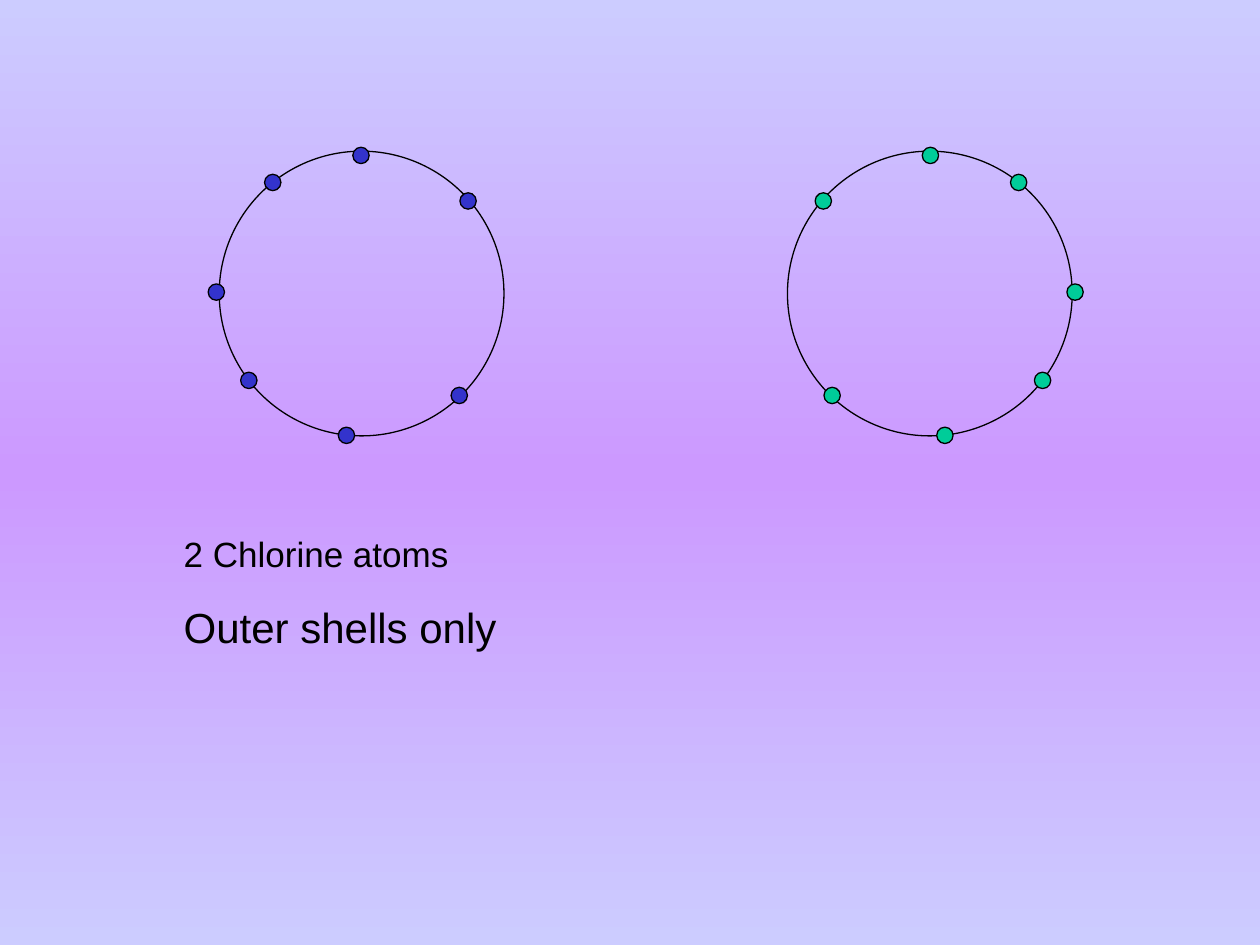
from copy import deepcopy

from pptx import Presentation
from pptx.dml.color import RGBColor
from pptx.enum.shapes import MSO_SHAPE
from pptx.oxml.ns import qn
from pptx.util import Inches, Pt

WIDE, HIGH = 10, 7.5
RING, DOT = 2.26, 0.13
SPOTS = [(50.2, 1.5), (81.2, 11), (101, 49.5), (89.6, 80.5),
         (55.3, 99.8), (15.7, 85.8), (12.6, 17.5)]


def color(code):
    """Turn a hex string into a colour."""
    return RGBColor.from_string(code)


def paint(slide, codes):
    """Fill the background with evenly spaced colours from top to bottom."""
    fill = slide.background.fill
    fill.gradient()
    fill.gradient_angle = 270
    stops = next(slide.element.iter(qn("a:gsLst")))
    while len(stops) < len(codes):
        stops.append(deepcopy(stops[-1]))
    for i, (stop, code) in enumerate(zip(fill.gradient_stops, codes)):
        stop.position = i / (len(codes) - 1)
        stop.color.rgb = color(code)


def disc(shapes, x, y, size, code=None):
    """Draw a black-edged circle around a centre point."""
    box = (Inches(v) for v in (x - size / 2, y - size / 2, size, size))
    shape = shapes.add_shape(MSO_SHAPE.OVAL, *box)
    shape.shadow.inherit = False
    shape.line.color.rgb = color("000000")
    shape.line.width = Pt(0.75)
    if code:
        shape.fill.solid()
        shape.fill.fore_color.rgb = color(code)
    else:
        shape.fill.background()


def atom(shapes, left, top, size, code, flip=False):
    """Draw an outer shell with its electrons, mirrored if asked."""
    disc(shapes, left + size / 2, top + size / 2, size)
    for x, y in SPOTS:
        across = 100 - x if flip else x
        disc(shapes, left + size * across / 100, top + size * y / 100, DOT, code)


def label(slide, left, top, wide, high, lines):
    """Write the caption lines, each with its size and space before."""
    box = slide.shapes.add_textbox(*(Inches(v) for v in (left, top, wide, high)))
    frame = box.text_frame
    frame.word_wrap = True
    for i, (text, size, gap) in enumerate(lines):
        para = frame.add_paragraph() if i else frame.paragraphs[0]
        para.text = text
        para.space_before = Pt(gap)
        style = {"name": "Arial", "size": Pt(size)}
        for key, value in style.items():
            setattr(para.font, key, value)
        para.font.color.rgb = color("000000")


def main():
    """Build and save the slide."""
    deck = Presentation()
    deck.slide_width, deck.slide_height = Inches(WIDE), Inches(HIGH)
    slide = deck.slides.add_slide(deck.slide_layouts[6])
    paint(slide, ["CCCCFF", "CC99FF", "CCCCFF"])
    group = slide.shapes.add_group_shape()
    top = HIGH * 0.16
    atom(group.shapes, WIDE * 0.625, top, RING, "00CC99")
    atom(slide.shapes, WIDE * 0.174, top, RING, "3333CC", flip=True)
    label(slide, 1.36, 4.18, WIDE * 0.65, 1.04,
          [("2 Chlorine atoms", 20, 0), ("Outer shells only", 24, 15)])
    deck.save("out.pptx")


if __name__ == "__main__":
    main()
